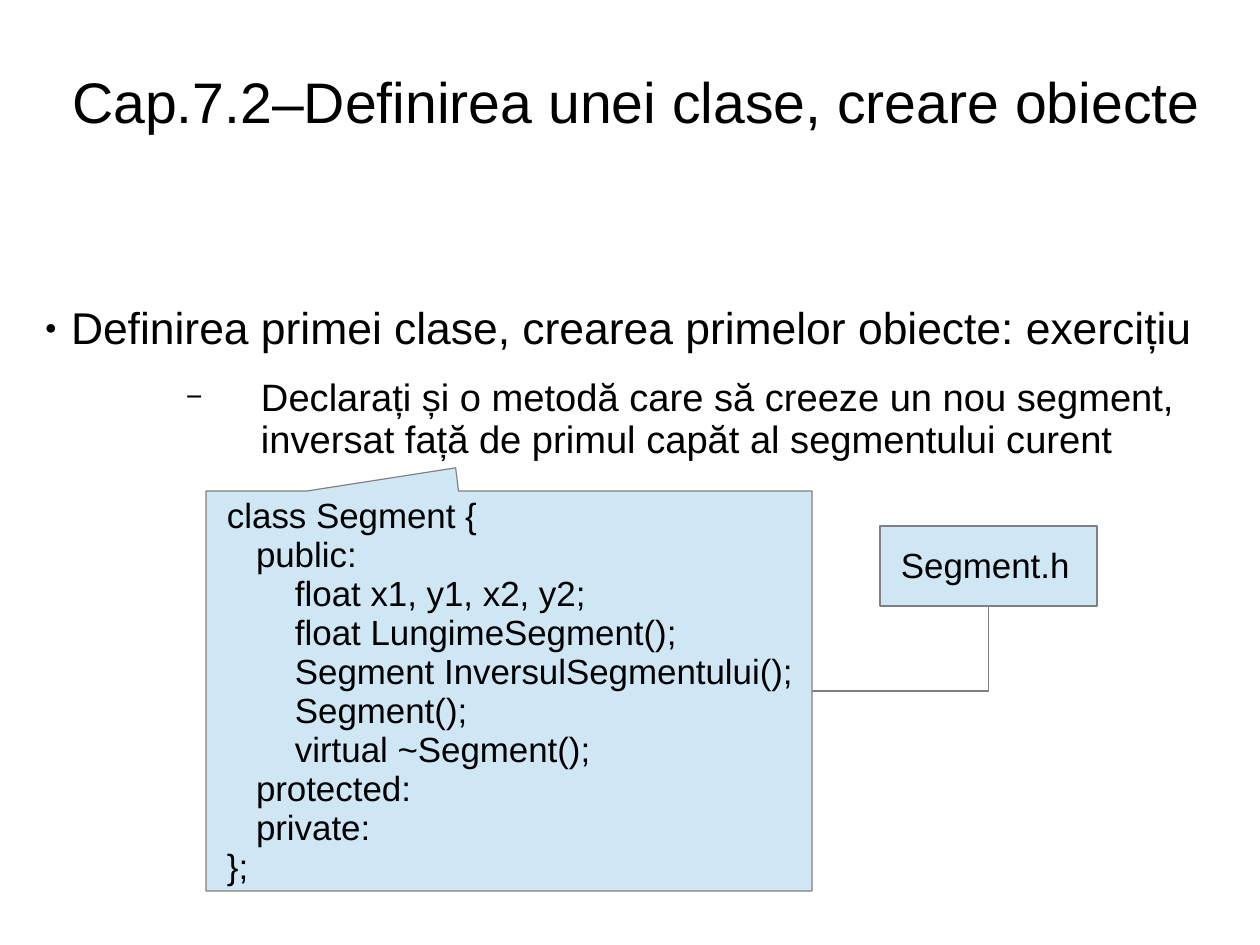
from lxml.etree import SubElement
from pptx import Presentation
from pptx.dml.color import RGBColor
from pptx.enum.shapes import MSO_CONNECTOR, MSO_SHAPE
from pptx.enum.text import MSO_ANCHOR, MSO_AUTO_SIZE, PP_ALIGN
from pptx.oxml.ns import qn
from pptx.util import Pt

# Content
TITLE = "Cap.7.2–Definirea unei clase, creare obiecte"
# text, level, size, space after, left, hang, bullet, bullet percent
POINTS = [
    ("Definirea primei clase, crearea primelor obiecte: exercițiu",
     0, 28, 14.1, 26, 26, "●", 45),
    ("Declarați și o metodă care să creeze un nou segment, "
     "inversat față de primul capăt al segmentului curent",
     1, 24, 11.4, 216, 75, "−", 75),
]
# depth, code line
CODE = [
    (0, "class Segment {"),
    (1, "public:"),
    (2, "float x1, y1, x2, y2;"),
    (2, "float LungimeSegment();"),
    (2, "Segment InversulSegmentului();"),
    (2, "Segment();"),
    (2, "virtual ~Segment();"),
    (1, "protected:"),
    (1, "private:"),
    (0, "};"),
]
LABEL = [(0, "Segment.h")]

# Places in px: left, top, width, height
HEAD = (41, 32, 1190, 142)
BODY = (45, 302, 1178, 167)
CLASS = (206, 491, 606, 400)
FILE = (880, 526, 217, 80)
DEPTHS = (10, 39, 78)

FONT = "Arial"
BLACK = RGBColor(0, 0, 0)
BLUE = RGBColor(0xCF, 0xE7, 0xF5)
GREY = RGBColor(0x80, 0x80, 0x80)


def px(n):
    return round(n * 8000)


def place(shape, box):
    shape.left, shape.top, shape.width, shape.height = map(px, box)


def pad(frame, left, top, right, bottom):
    frame.margin_left, frame.margin_top = px(left), px(top)
    frame.margin_right, frame.margin_bottom = px(right), px(bottom)
    frame.word_wrap = True
    frame.auto_size = MSO_AUTO_SIZE.NONE


def style(par, size, align=PP_ALIGN.LEFT, after=0):
    par.alignment = align
    par.line_spacing = 0.93
    par.space_before, par.space_after = Pt(0), Pt(after)
    for run in par.runs:
        run.font.size, run.font.name = Pt(size), FONT
        run.font.color.rgb = BLACK


def indent(par, left, hang=0):
    props = par._p.get_or_add_pPr()
    props.set("marL", str(px(left)))
    props.set("indent", str(-px(hang)))
    return props


def callout(box, lines, tip):
    shape = slide.shapes.add_shape(
        MSO_SHAPE.RECTANGULAR_CALLOUT, *map(px, box))
    shape.adjustments[0], shape.adjustments[1] = tip
    shape.shadow.inherit = False
    shape.fill.solid()
    shape.fill.fore_color.rgb = BLUE
    shape.line.color.rgb, shape.line.width = GREY, Pt(0.75)
    frame = shape.text_frame
    pad(frame, 11, 8, 8, 6)
    frame.vertical_anchor = MSO_ANCHOR.MIDDLE
    frame.text = "\n".join(text for _, text in lines)
    for par, (depth, _) in zip(frame.paragraphs, lines):
        style(par, 22)
        indent(par, DEPTHS[depth])


deck = Presentation()
deck.slide_width, deck.slide_height = px(1260), px(945)
slide = deck.slides.add_slide(deck.slide_layouts[1])

# Title
title = slide.shapes.title
place(title, HEAD)
title.text_frame.text = TITLE
pad(title.text_frame, 0, 3, 0, 0)
title.text_frame.vertical_anchor = MSO_ANCHOR.MIDDLE
style(title.text_frame.paragraphs[0], 36, PP_ALIGN.CENTER)

# Bullet list
body = slide.placeholders[1]
place(body, BODY)
frame = body.text_frame
frame.text = "\n".join(point[0] for point in POINTS)
pad(frame, 0, 3, 0, 0)
for par, point in zip(frame.paragraphs, POINTS):
    _, level, size, after, left, hang, mark, scale = point
    par.level = level
    style(par, size, after=after)
    props = indent(par, left, hang)
    SubElement(props, qn("a:buSzPct"), val=str(scale * 1000))
    SubElement(props, qn("a:buFont"), typeface=FONT)
    SubElement(props, qn("a:buChar"), char=mark)

# Class code and file name
callout(CLASS, CODE, (-0.088, -0.558))
callout(FILE, LABEL, (-0.5, 0.291))

# One-bend link from the file box down to the class box, turned by 90 degrees
x1, y1 = FILE[0] + FILE[2] / 2, FILE[1] + FILE[3]
x2, y2 = CLASS[0] + CLASS[2], CLASS[1] + CLASS[3] / 2
midx, midy = (x1 + x2) / 2, (y1 + y2) / 2
wide, high = y2 - y1, x1 - x2
link = slide.shapes.add_connector(
    MSO_CONNECTOR.ELBOW, px(midx - wide / 2), px(midy - high / 2),
    px(midx + wide / 2), px(midy + high / 2))
link.line.color.rgb, link.line.width = GREY, Pt(0.75)
props = link._element.spPr
props.find(qn("a:xfrm")).set("rot", str(90 * 60000))
props.find(qn("a:prstGeom")).set("prst", "bentConnector2")
SubElement(props, qn("a:effectLst"))

deck.save("out.pptx")
